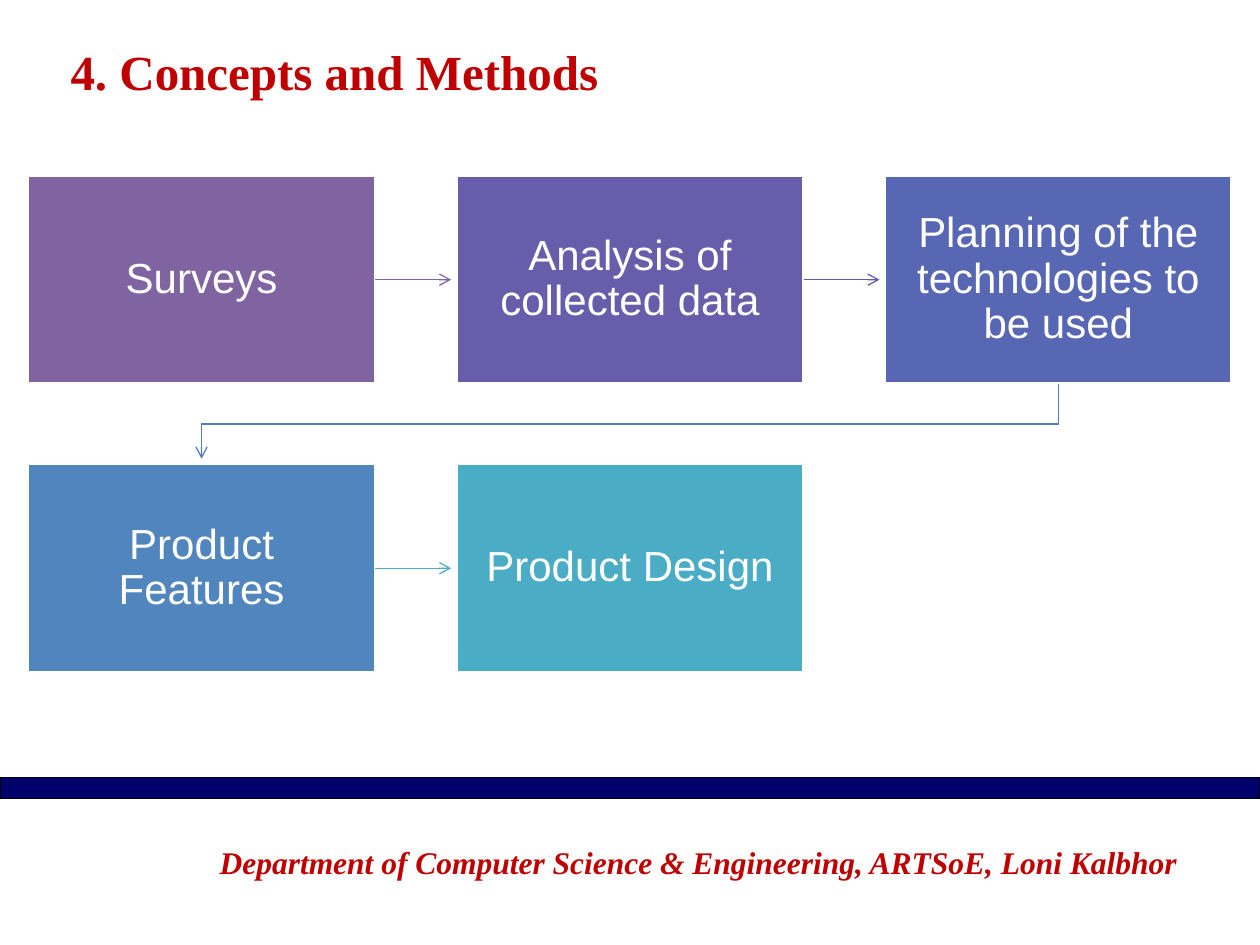
from lxml import etree
from pptx import Presentation
from pptx.dml.color import RGBColor
from pptx.enum.shapes import MSO_CONNECTOR, MSO_SHAPE
from pptx.enum.text import MSO_ANCHOR, PP_ALIGN
from pptx.oxml.ns import qn
from pptx.util import Inches, Pt

RECTANGLE = MSO_SHAPE.RECTANGLE
STRAIGHT = MSO_CONNECTOR.STRAIGHT
MIDDLE, TOP = MSO_ANCHOR.MIDDLE, MSO_ANCHOR.TOP
LEFT, CENTER = PP_ALIGN.LEFT, PP_ALIGN.CENTER
RIGHT_SIDE = 3

WHITE = RGBColor(0xFF, 0xFF, 0xFF)
BLACK = RGBColor(0x00, 0x00, 0x00)
NAVY = RGBColor(0x00, 0x00, 0x6C)
RED = RGBColor(0xC0, 0x00, 0x00)
PURPLE = RGBColor(0x80, 0x64, 0xA2)
VIOLET = RGBColor(0x68, 0x5D, 0xAB)
INDIGO = RGBColor(0x57, 0x67, 0xB4)
BLUE = RGBColor(0x51, 0x85, 0xBD)
TEAL = RGBColor(0x4B, 0xAC, 0xC6)
VIOLET_LINE = RGBColor(0x5F, 0x5B, 0xAE)
BLUE_LINE = RGBColor(0x53, 0x7A, 0xBA)

# Each step with its fill and the colour of the arrow that leaves it
STEPS = [
    ("Surveys", PURPLE, PURPLE),
    ("Analysis of collected data", VIOLET, VIOLET_LINE),
    ("Planning of the technologies to be used", INDIGO, BLUE_LINE),
    ("Product Features", BLUE, TEAL),
    ("Product Design", TEAL, None),
]
COLUMNS = 3
STEP_WIDTH, STEP_HEIGHT = Inches(2.76), Inches(1.66)
ARROW_CLEARANCE = Inches(0.04)


def write_text(shape, text, font="Arial", size=24, color=WHITE, bold=False,
               italic=False, align=CENTER, anchor=MIDDLE, insets=None,
               line_spacing=None):
    """Insets are left, top, right and bottom, in inches."""
    frame = shape.text_frame
    frame.word_wrap = True
    frame.vertical_anchor = anchor
    if insets:
        (frame.margin_left, frame.margin_top,
         frame.margin_right, frame.margin_bottom) = map(Inches, insets)
    paragraph = frame.paragraphs[0]
    paragraph.alignment = align
    if line_spacing:
        paragraph.line_spacing = line_spacing
    run = paragraph.add_run()
    run.text = text
    run.font.name = font
    run.font.size = Pt(size)
    run.font.bold = bold
    run.font.italic = italic
    run.font.color.rgb = color


def add_rectangle(slide, box, fill, line, line_width):
    rectangle = slide.shapes.add_shape(RECTANGLE, *box)
    rectangle.shadow.inherit = False
    rectangle.fill.solid()
    rectangle.fill.fore_color.rgb = fill
    rectangle.line.color.rgb = line
    rectangle.line.width = Pt(line_width)
    return rectangle


def style_arrow(arrow, color):
    arrow.line.color.rgb = color
    arrow.line.width = Pt(0.75)
    etree.SubElement(arrow.line._get_or_add_ln(), qn("a:tailEnd"), type="arrow")


def add_row_arrow(slide, source, target, color):
    middle = source.top + source.height // 2
    arrow = slide.shapes.add_connector(
        STRAIGHT, source.left + source.width, middle,
        target.left - ARROW_CLEARANCE, middle)
    arrow.begin_connect(source, RIGHT_SIDE)
    style_arrow(arrow, color)
    etree.SubElement(arrow._element.spPr, qn("a:effectLst"))


def add_wrap_arrow(slide, source, target, color):
    """Lead from the end of one row to the start of the next."""
    start_x = source.left + source.width // 2
    end_x = target.left + target.width // 2
    start_y = source.top + source.height
    turn_y = (start_y + target.top) // 2
    builder = slide.shapes.build_freeform(start_x, start_y)
    builder.add_line_segments(
        [(start_x, turn_y), (end_x, turn_y),
         (end_x, target.top - ARROW_CLEARANCE)], close=False)
    arrow = builder.convert_to_shape()
    arrow.shadow.inherit = False
    arrow.fill.background()
    style_arrow(arrow, color)


def add_process(slide, left, top, width, height):
    rows = -(-len(STEPS) // COLUMNS)
    column_pitch = (width - STEP_WIDTH) // (COLUMNS - 1)
    row_pitch = (height - STEP_HEIGHT) // (rows - 1)
    steps = []
    for index, (label, fill, _) in enumerate(STEPS):
        row, column = divmod(index, COLUMNS)
        box = (left + column * column_pitch, top + row * row_pitch,
               STEP_WIDTH, STEP_HEIGHT)
        step = add_rectangle(slide, box, fill, WHITE, 2)
        write_text(step, label, insets=[0.19] * 4, line_spacing=0.9)
        steps.append(step)
    for source, target, (_, _, color) in zip(steps, steps[1:], STEPS):
        add_arrow = add_row_arrow if source.top == target.top else add_wrap_arrow
        add_arrow(slide, source, target, color)


def add_title(slide, left, top, width, height):
    title = slide.shapes.title
    title.left, title.top, title.width, title.height = left, top, width, height
    write_text(title, "4. Concepts and Methods", font="Times New Roman",
               size=28, color=RED, bold=True, align=LEFT)


def add_footer(slide, left, top, width, height):
    department = slide.shapes.add_textbox(left, top, width, height)
    write_text(department,
               "Department of Computer Science & Engineering, ARTSoE, Loni Kalbhor",
               font="Times New Roman", size=18, color=RED, bold=True,
               italic=True, anchor=TOP, insets=(0, 0.01, 0, 0))


def main():
    presentation = Presentation()
    presentation.slide_width = Inches(10)
    presentation.slide_height = Inches(7.5)
    slide = presentation.slides.add_slide(presentation.slide_layouts[5])
    band = (0, Inches(6.17), presentation.slide_width, Inches(0.17))
    add_rectangle(slide, band, NAVY, BLACK, 0.75)
    add_title(slide, Inches(0.46), Inches(0.25), Inches(8.76), Inches(0.63))
    add_footer(slide, Inches(1.51), Inches(6.68), Inches(8.07), Inches(0.74))
    add_process(slide, Inches(0.22), Inches(1.39), Inches(9.56), Inches(3.95))
    presentation.save("out.pptx")


if __name__ == "__main__":
    main()
